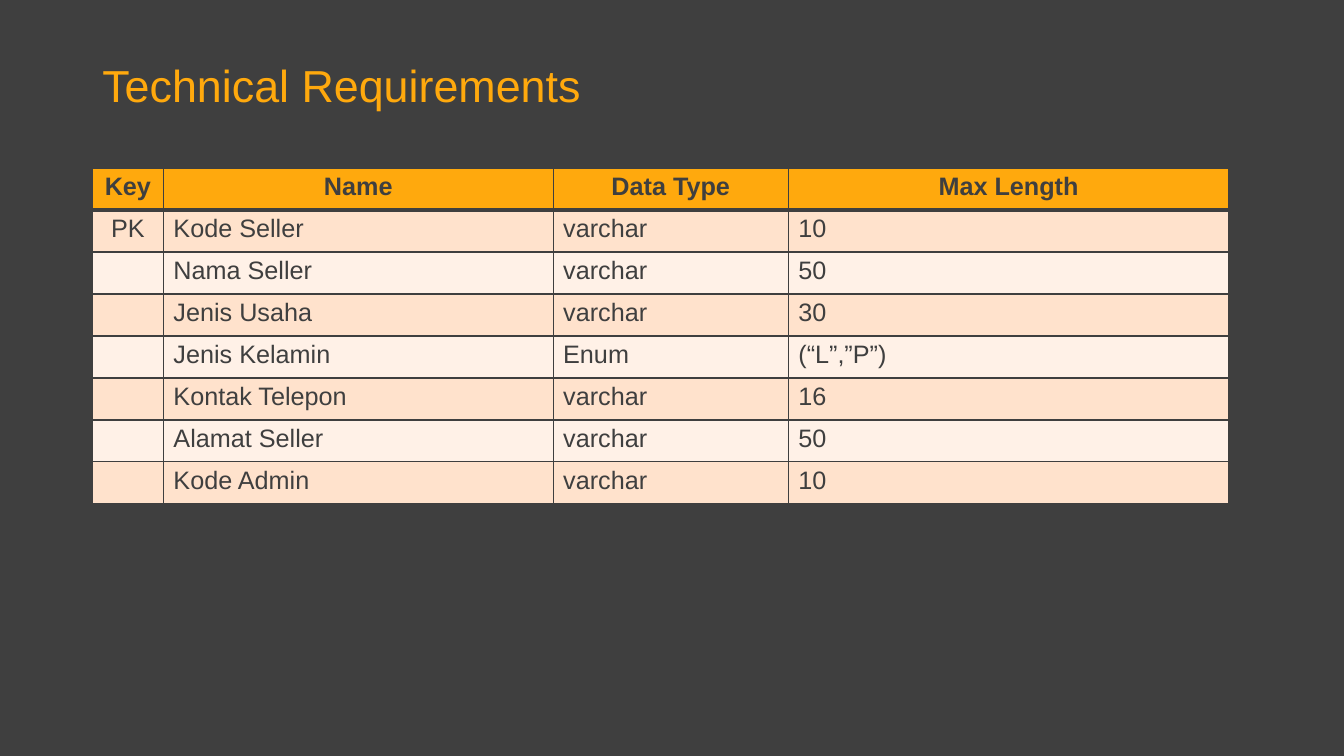
"""Build the Technical Requirements slide with its table of seller fields."""
import dataclasses

import lxml.etree
import pptx
import pptx.dml.color
import pptx.enum.text
import pptx.oxml.ns
import pptx.slide
import pptx.table
import pptx.text.text
import pptx.util

SLIDE_WIDTH = pptx.util.Inches(13.33)
SLIDE_HEIGHT = pptx.util.Inches(7.5)
GRID_COLUMN = SLIDE_WIDTH / 160
GRID_ROW = SLIDE_HEIGHT / 18
LEFT_MARGIN = 11
FONT_NAME = "Arial"

CHARCOAL = pptx.dml.color.RGBColor(0x3F, 0x3F, 0x3F)
AMBER = pptx.dml.color.RGBColor(0xFF, 0xA9, 0x0D)
PEACH = pptx.dml.color.RGBColor(0xFF, 0xE2, 0xCC)
CREAM = pptx.dml.color.RGBColor(0xFF, 0xF1, 0xE7)


@dataclasses.dataclass(frozen=True)
class Column:
    """A table column, its width in grid columns."""

    heading: str
    width: float


@dataclasses.dataclass(frozen=True)
class Field:
    """A database field, one table row."""

    key: str
    name: str
    data_type: str
    max_length: str


COLUMNS = (
    Column("Key", 8.45),
    Column("Name", 46.4),
    Column("Data Type", 28),
    Column("Max Length", 52.45),
)
FIELDS = (
    Field("PK", "Kode Seller", "varchar", "10"),
    Field("", "Nama Seller", "varchar", "50"),
    Field("", "Jenis Usaha", "varchar", "30"),
    Field("", "Jenis Kelamin", "Enum", "(“L”,”P”)"),
    Field("", "Kontak Telepon", "varchar", "16"),
    Field("", "Alamat Seller", "varchar", "50"),
    Field("", "Kode Admin", "varchar", "10"),
)


def across(columns: float) -> pptx.util.Emu:
    """Convert grid columns to a length."""
    return pptx.util.Emu(round(columns * GRID_COLUMN))


def down(rows: float) -> pptx.util.Emu:
    """Convert grid rows to a length."""
    return pptx.util.Emu(round(rows * GRID_ROW))


def style_paragraph(
    paragraph: pptx.text.text._Paragraph,
    size: float,
    color: pptx.dml.color.RGBColor,
    bold: bool = False,
) -> None:
    """Set the font of a whole paragraph."""
    paragraph.font.name = FONT_NAME
    paragraph.font.size = pptx.util.Pt(size)
    paragraph.font.color.rgb = color
    paragraph.font.bold = bold


def add_title(slide: pptx.slide.Slide, text: str) -> None:
    """Add the slide title."""
    title = slide.shapes.add_textbox(across(LEFT_MARGIN), down(0.96), across(138), down(2.25))
    frame = title.text_frame
    frame.word_wrap = True
    frame.vertical_anchor = pptx.enum.text.MSO_ANCHOR.MIDDLE
    paragraph = frame.paragraphs[0]
    paragraph.text = text
    paragraph.line_spacing = 0.9
    style_paragraph(paragraph, 32, AMBER)


def add_borders(cell: pptx.table._Cell, top: float, bottom: float) -> None:
    """Draw the four borders of a cell, with widths in points."""
    properties = cell._tc.get_or_add_tcPr()
    for side, width in (("L", 1), ("R", 1), ("T", top), ("B", bottom)):
        line = lxml.etree.SubElement(
            properties, pptx.oxml.ns.qn(f"a:ln{side}"), w=str(pptx.util.Pt(width))
        )
        fill = lxml.etree.SubElement(line, pptx.oxml.ns.qn("a:solidFill"))
        lxml.etree.SubElement(fill, pptx.oxml.ns.qn("a:srgbClr"), val=str(CHARCOAL))


def fill_cell(cell: pptx.table._Cell, text: str, row: int, column: int) -> None:
    """Write and style one table cell."""
    is_header = row == 0
    add_borders(cell, top=3 if row == 1 else 1, bottom=3 if is_header else 1)
    cell.fill.solid()
    cell.fill.fore_color.rgb = AMBER if is_header else PEACH if row % 2 else CREAM
    if text:
        paragraph = cell.text_frame.paragraphs[0]
        paragraph.text = text
        if is_header or column == 0:
            paragraph.alignment = pptx.enum.text.PP_ALIGN.CENTER
        style_paragraph(paragraph, 18, CHARCOAL, bold=is_header)


def add_field_table(slide: pptx.slide.Slide) -> None:
    """Add the table of fields."""
    headings = tuple(column.heading for column in COLUMNS)
    rows = (headings, *(dataclasses.astuple(field) for field in FIELDS))
    table = slide.shapes.add_table(
        len(rows),
        len(COLUMNS),
        across(LEFT_MARGIN),
        down(4),
        across(sum(column.width for column in COLUMNS)),
        down(len(rows)),
    ).table
    for table_column, column in zip(table.columns, COLUMNS):
        table_column.width = across(column.width)
    for row_index, texts in enumerate(rows):
        for column_index, text in enumerate(texts):
            fill_cell(table.cell(row_index, column_index), text, row_index, column_index)


def main() -> None:
    """Build and save the presentation."""
    presentation = pptx.Presentation()
    presentation.slide_width = SLIDE_WIDTH
    presentation.slide_height = SLIDE_HEIGHT
    slide = presentation.slides.add_slide(presentation.slide_layouts[6])
    slide.background.fill.solid()
    slide.background.fill.fore_color.rgb = CHARCOAL
    add_title(slide, "Technical Requirements")
    add_field_table(slide)
    presentation.save("out.pptx")


if __name__ == "__main__":
    main()
